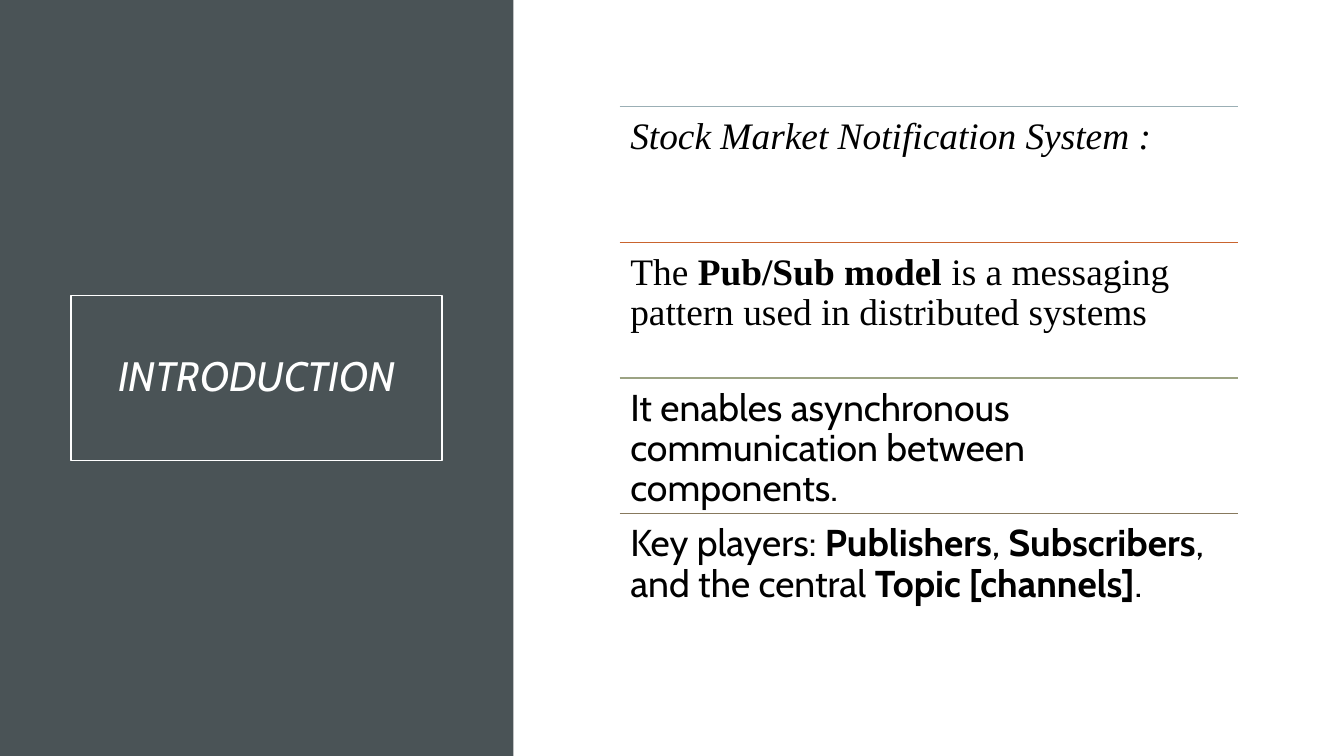
from pptx import Presentation
from pptx.dml.color import RGBColor
from pptx.enum.shapes import MSO_CONNECTOR, MSO_SHAPE
from pptx.enum.text import MSO_ANCHOR as ANCHOR, PP_ALIGN as ALIGN
from pptx.oxml.ns import qn
from pptx.util import Inches, Pt
from lxml.etree import SubElement

WIDTH = 10
HEIGHT = WIDTH * 9 / 16
SANS, SERIF = "Cabin", "Times New Roman"

# Each row: rule colour, font, italic, runs as (text, bold)
ROWS = [
    ("9BAFB5", SERIF, True, [("Stock Market Notification System :", False)]),
    ("C9642E", SERIF, False, [
        ("The ", False), ("Pub/Sub model", True),
        (" is a messaging pattern used in distributed systems", False)]),
    ("9CA383", SANS, False, [
        ("It enables asynchronous communication between components.", False)]),
    ("87795D", SANS, False, [
        ("Key players: ", False), ("Publishers", True), (", ", False),
        ("Subscribers", True), (", and the central ", False),
        ("Topic [channels]", True), (".", False)]),
]


def rgb(value):
    return RGBColor.from_string(value)


def inches(*lengths):
    return [Inches(length) for length in lengths]


def add_rect(slide, box, fill=None, line=None):
    sp = slide.shapes.add_shape(MSO_SHAPE.RECTANGLE, *inches(*box))
    sp.shadow.inherit = False
    if fill:
        sp.fill.solid()
        sp.fill.fore_color.rgb = rgb(fill)
    else:
        sp.fill.background()
    if line:
        sp.line.color.rgb = rgb(line)
        sp.line.width = Pt(0.75)
    else:
        sp.line.fill.background()
    return sp


def add_rule(shapes, x, y, width, color):
    rule = shapes.add_connector(
        MSO_CONNECTOR.STRAIGHT, *inches(x, y, x + width, y))
    rule.line.color.rgb = rgb(color)
    rule.line.width = Pt(0.75)
    SubElement(rule._element.spPr, qn("a:effectLst"))


def write(sp, runs, font, size, color, italic, inset, align, anchor):
    tf = sp.text_frame
    tf.word_wrap = True
    tf.vertical_anchor = anchor
    tf.margin_left = tf.margin_right = Inches(inset)
    tf.margin_top = tf.margin_bottom = Inches(inset)
    p = tf.paragraphs[0]
    p.alignment = align
    p.line_spacing = 0.9
    for text, bold in runs:
        r = p.add_run()
        r.text = text
        r.font.name = font
        r.font.size = Pt(size)
        r.font.bold = bold
        r.font.italic = italic
        r.font.color.rgb = rgb(color)


def title_panel(slide, box):
    """Dark panel with a framed title in its middle."""
    x, y, w, h = box
    add_rect(slide, box, fill="4A5356")
    frame_w, frame_h = 2.76, 1.23
    frame = add_rect(
        slide, (x + (w - frame_w) / 2, y + (h - frame_h) / 2, frame_w, frame_h),
        line="FFFFFF")
    write(frame, [("INTRODUCTION", False)], SANS, 22, "FFFFFF", True,
          0.2, ALIGN.CENTER, ANCHOR.MIDDLE)


def ruled_list(slide, box, rows):
    """Group of equal rows, each with a coloured rule along its top."""
    x, y, w, h = box
    row_h = h / len(rows)
    shapes = slide.shapes.add_group_shape().shapes
    for i, (color, font, italic, runs) in enumerate(rows):
        top = y + i * row_h
        add_rule(shapes, x, top, w, color)
        sp = shapes.add_textbox(*inches(x, top, w, row_h))
        write(sp, runs, font, 20, "000000", italic,
              0.08, ALIGN.LEFT, ANCHOR.TOP)


def main():
    prs = Presentation()
    prs.slide_width, prs.slide_height = inches(WIDTH, HEIGHT)
    slide = prs.slides.add_slide(prs.slide_layouts[6])
    title_panel(slide, (0, 0, 3.82, HEIGHT))
    list_h = 4.04
    ruled_list(slide, (4.61, (HEIGHT - list_h) / 2, 4.6, list_h), ROWS)
    prs.save("out.pptx")


if __name__ == "__main__":
    main()
